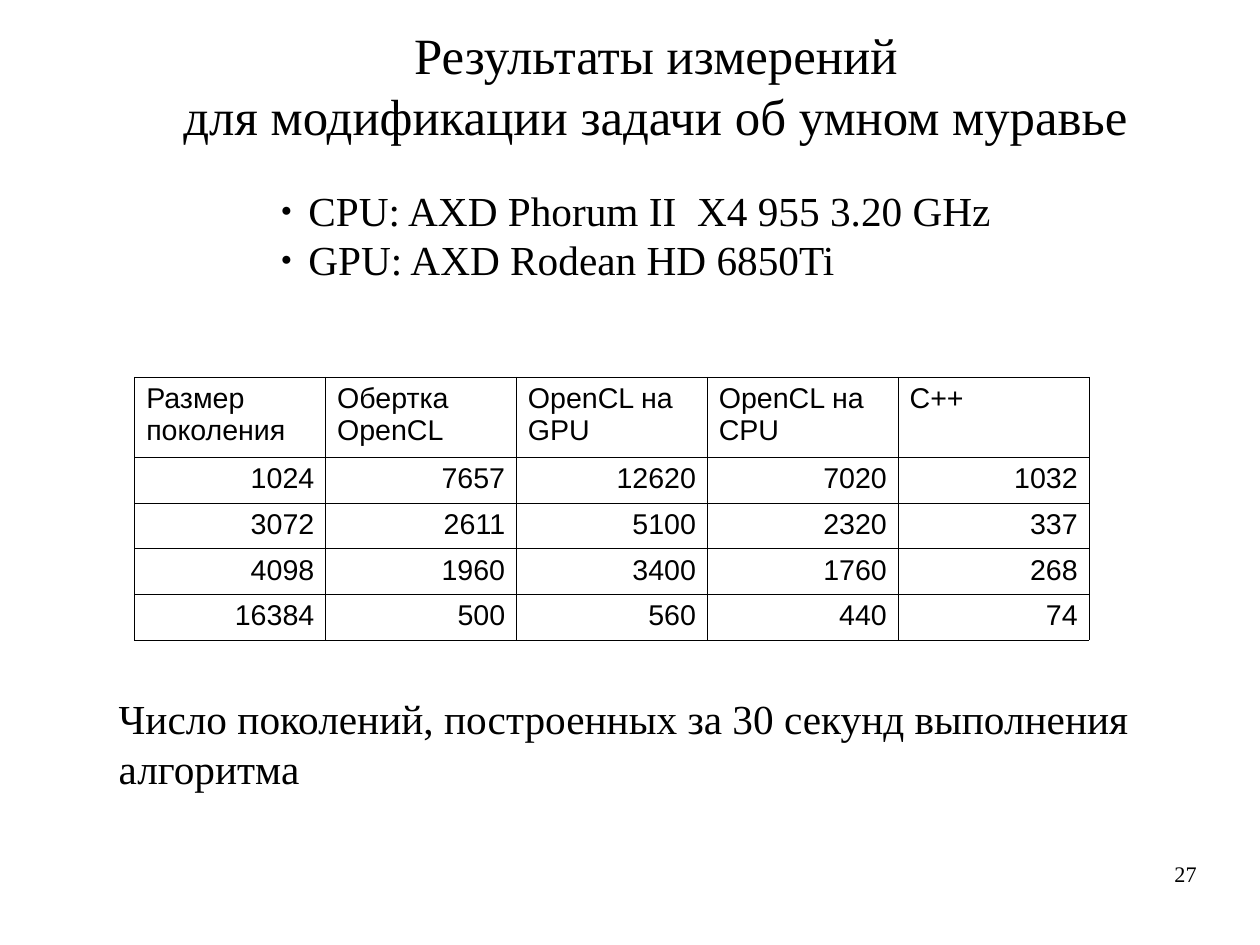
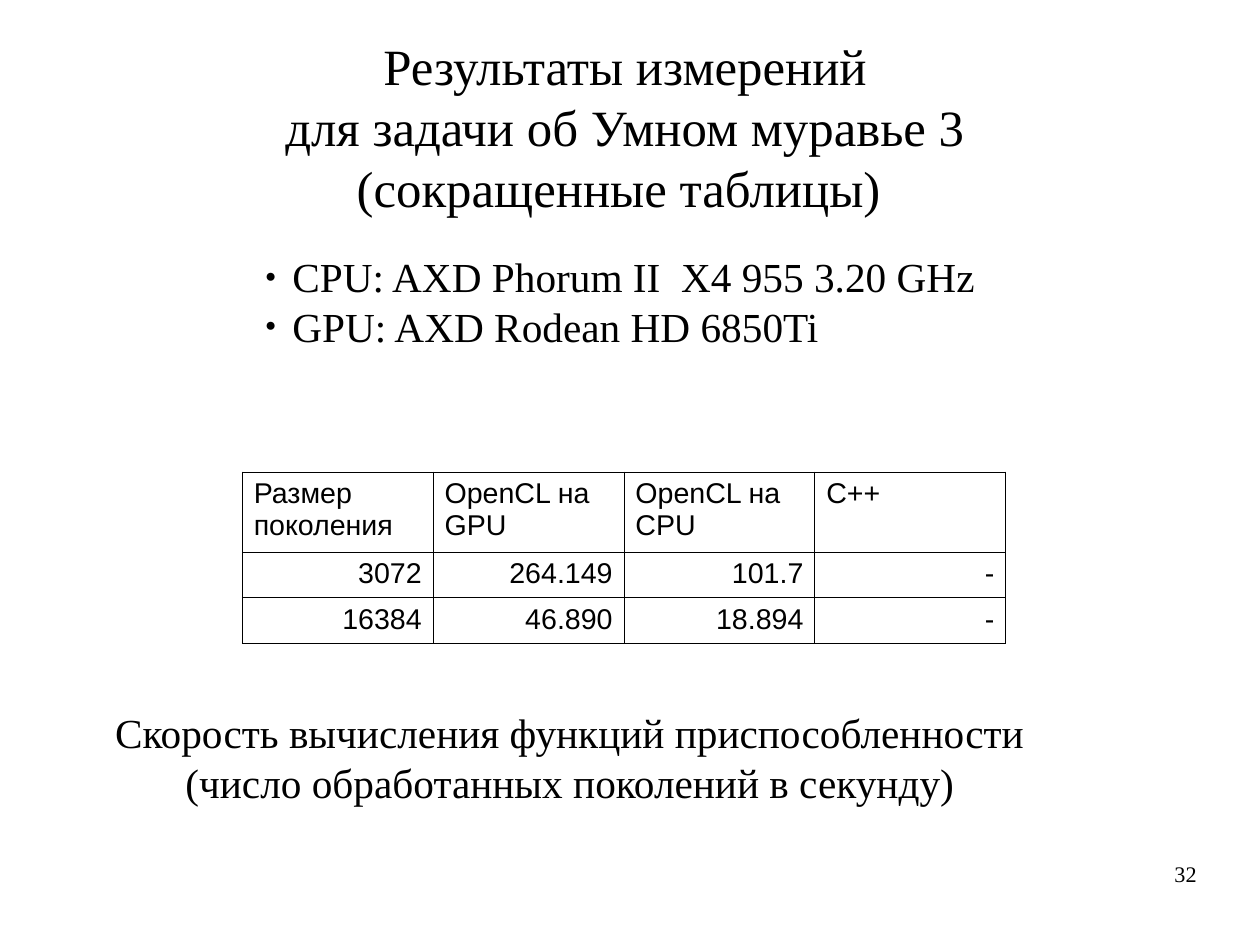
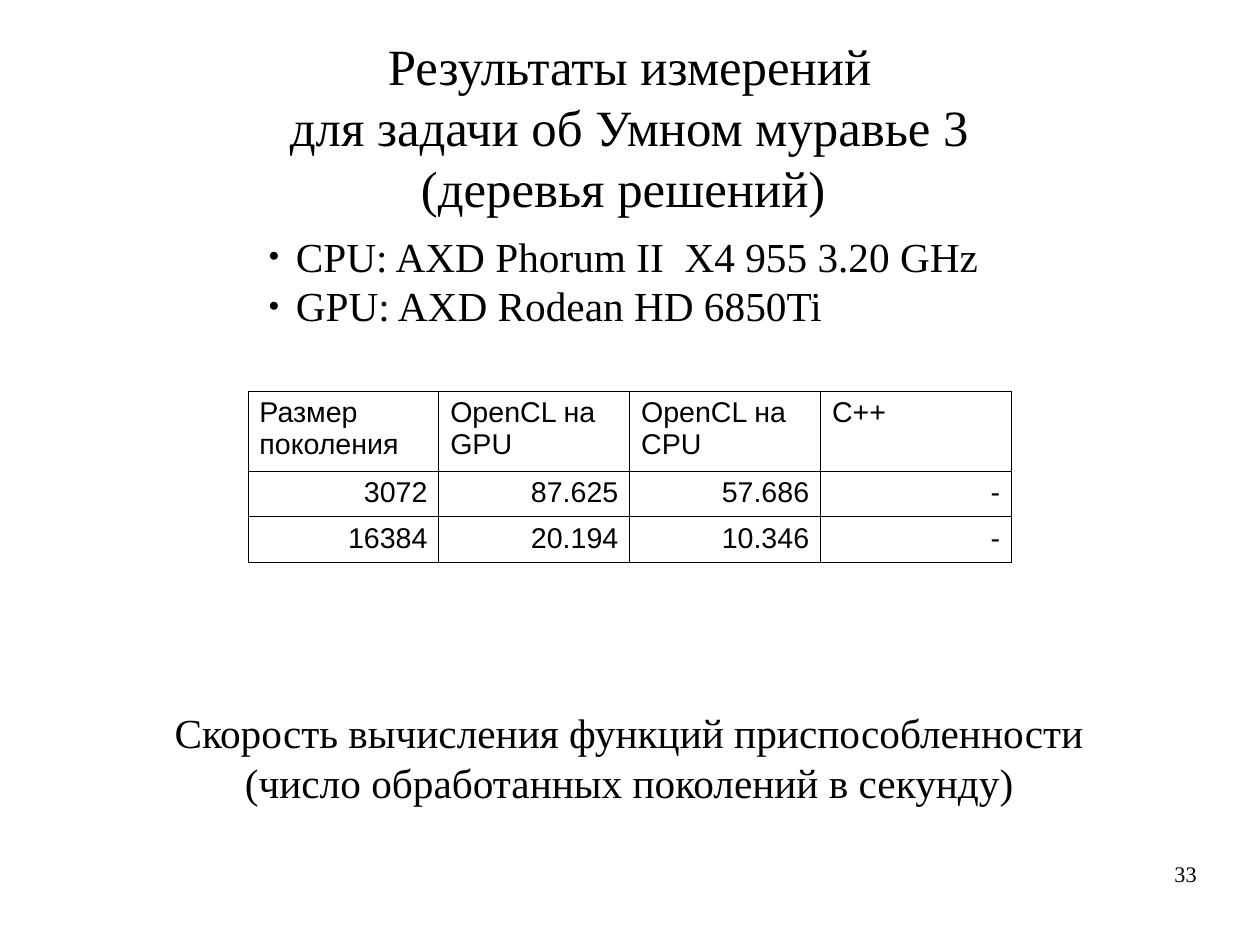
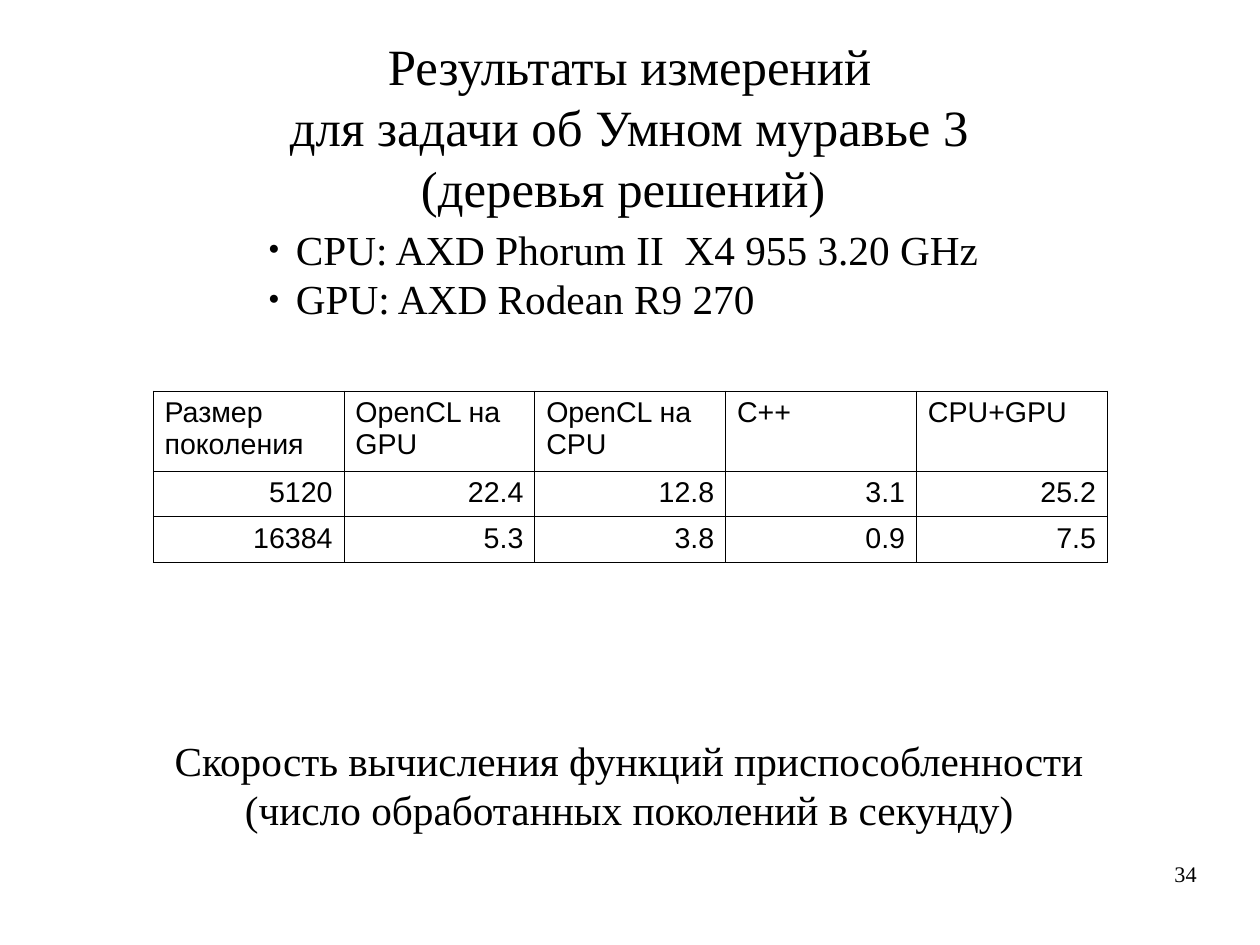
from dataclasses import dataclass

from lxml.etree import SubElement
from pptx import Presentation
from pptx.dml.color import RGBColor
from pptx.enum.text import MSO_ANCHOR, MSO_AUTO_SIZE, PP_ALIGN
from pptx.oxml import parse_xml
from pptx.oxml.ns import nsdecls, qn
from pptx.util import Cm, Inches, Pt


@dataclass(frozen=True)
class Theme:
    ink: str = "000000"
    serif: str = "Times New Roman"
    sans: str = "Arial"
    title_size: int = 32
    body_size: int = 26
    table_size: int = 18
    number_size: int = 14
    border_width: float = 0.57


THEME = Theme()
COLUMN, HEADER_ROW, DATA_ROW = 1.67, 0.7, 0.4
MARGINS = (0.1, 0.05)
BULLET_INDENT = 0.24
NUMBER_BOX = (7.9, 7.53, 2.57, 0.57)

CPU = "CPU: AXD Phorum II  X4 955 3.20 GHz"
OLD_GPU = "GPU: AXD Rodean HD 6850Ti"
NEW_GPU = "GPU: AXD Rodean R9 270"
ANT_TITLE = "Результаты измерений\nдля задачи об Умном муравье 3\n"
SPEED = ("Скорость вычисления функций приспособленности\n"
         "(число обработанных поколений в секунду)")
SIZE, ON_GPU, ON_CPU = "Размер поколения", "OpenCL на GPU", "OpenCL на СPU"

# Boxes are left, top, width, height in inches; a table needs only left and top.
SLIDES = [
    dict(number="27",
         title="Результаты измерений\nдля модификации задачи об умном муравье",
         title_box=(1.5, 0.16, 8.48, 1.09),
         hardware=[CPU, OLD_GPU], hardware_box=(2.36, 1.57, 6.52, 1.32),
         table_at=(1.18, 3.3),
         rows=[(SIZE, "Обертка OpenCL", ON_GPU, ON_CPU, "C++"),
               ("1024", "7657", "12620", "7020", "1032"),
               ("3072", "2611", "5100", "2320", "337"),
               ("4098", "1960", "3400", "1760", "268"),
               ("16384", "500", "560", "440", "74")],
         caption="Число поколений, построенных за 30 секунд выполнения\nалгоритма",
         caption_box=(0.94, 6.02, 9.14, 0.91), caption_align=PP_ALIGN.LEFT),
    dict(number="32",
         title=ANT_TITLE + "(сокращенные таблицы) ",
         title_box=(2.39, 0.25, 6.16, 1.58),
         hardware=[CPU, OLD_GPU], hardware_box=(2.22, 2.15, 6.52, 1.32),
         table_at=(2.12, 4.13),
         rows=[(SIZE, ON_GPU, ON_CPU, "C++"),
               ("3072", "264.149", "101.7", "-"),
               ("16384", "46.890", "18.894", "-")],
         caption=SPEED, caption_box=(0.91, 6.14, 8.16, 1.18),
         caption_align=PP_ALIGN.CENTER),
    dict(number="33",
         title=ANT_TITLE + "(деревья решений) ",
         title_box=(2.43, 0.25, 6.16, 1.58),
         hardware=[CPU, OLD_GPU], hardware_box=(2.25, 1.97, 6.52, 1.32),
         table_at=(2.17, 3.42),
         rows=[(SIZE, ON_GPU, ON_CPU, "C++"),
               ("3072", "87.625", "57.686", "-"),
               ("16384", "20.194", "10.346", "-")],
         caption=SPEED, caption_box=(1.43, 6.14, 8.16, 1.18),
         caption_align=PP_ALIGN.CENTER),
    dict(number="34",
         title=ANT_TITLE + "(деревья решений) ",
         title_box=(2.43, 0.25, 6.16, 1.58),
         hardware=[CPU, NEW_GPU], hardware_box=(2.25, 1.91, 6.52, 1.32),
         table_at=(1.34, 3.42),
         rows=[(SIZE, ON_GPU, ON_CPU, "C++", "CPU+GPU"),
               ("5120", "22.4", "12.8", "3.1", "25.2"),
               ("16384", "5.3", "3.8", "0.9", "7.5")],
         caption=SPEED, caption_box=(1.43, 6.38, 8.16, 1.18),
         caption_align=PP_ALIGN.CENTER),
]


def write(frame, text, size, align=PP_ALIGN.LEFT, font=THEME.serif):
    frame.text = text
    for para in frame.paragraphs:
        para.alignment = align
        for span in para.runs:
            span.font.name = font
            span.font.size = Pt(size)
            span.font.color.rgb = RGBColor.from_string(THEME.ink)


def fill_box(shape, box, text, size, align=PP_ALIGN.LEFT, margins=MARGINS):
    """Place a text shape and write its text from the top, without wrapping."""
    shape.left, shape.top, shape.width, shape.height = map(Inches, box)
    frame = shape.text_frame
    frame.word_wrap = False
    frame.auto_size = MSO_AUTO_SIZE.NONE
    frame.vertical_anchor = MSO_ANCHOR.TOP
    frame.margin_left = frame.margin_right = Inches(margins[0])
    frame.margin_top = frame.margin_bottom = Inches(margins[1])
    write(frame, text, size, align)
    return frame


def add_text(page, box, *text_style, **options):
    shape = page.shapes.add_textbox(*map(Inches, box))
    return fill_box(shape, box, *text_style, **options)


def add_bullet(para):
    properties = para._p.get_or_add_pPr()
    properties.set("marL", str(Inches(BULLET_INDENT)))
    properties.set("indent", str(-Inches(BULLET_INDENT)))
    color = SubElement(properties, qn("a:buClr"))
    SubElement(color, qn("a:srgbClr"), val=THEME.ink)
    SubElement(properties, qn("a:buSzPct"), val="45000")
    SubElement(properties, qn("a:buFont"), typeface=THEME.serif)
    SubElement(properties, qn("a:buChar"), char="●")


def add_borders(cell):
    properties = cell._tc.get_or_add_tcPr()
    for position, side in enumerate(("lnL", "lnR", "lnT", "lnB")):
        properties.insert(position, parse_xml(
            f'<a:{side} {nsdecls("a")} w="{Pt(THEME.border_width)}"><a:solidFill>'
            f'<a:srgbClr val="{THEME.ink}"/></a:solidFill></a:{side}>'))


def add_results(page, at, rows):
    heights = [HEADER_ROW] + [DATA_ROW] * (len(rows) - 1)
    size = (COLUMN * len(rows[0]), sum(heights))
    table = page.shapes.add_table(
        len(rows), len(rows[0]), *map(Inches, at + size)).table
    table.first_row = table.horz_banding = False
    for column in table.columns:
        column.width = Inches(COLUMN)
    for index, (values, height) in enumerate(zip(rows, heights)):
        table.rows[index].height = Inches(height)
        align = PP_ALIGN.RIGHT if index else PP_ALIGN.LEFT
        for cell, value in zip(table.rows[index].cells, values):
            write(cell.text_frame, value, THEME.table_size, align, THEME.sans)
            cell.fill.background()
            add_borders(cell)


def add_page(deck, content):
    page = deck.slides.add_slide(deck.slide_layouts.get_by_name("Title Only"))
    fill_box(page.shapes.title, content["title_box"], content["title"],
             THEME.title_size, PP_ALIGN.CENTER)
    hardware = add_text(page, content["hardware_box"],
                        "\n".join(content["hardware"]), THEME.body_size)
    for para in hardware.paragraphs:
        add_bullet(para)
    add_results(page, content["table_at"], content["rows"])
    add_text(page, content["caption_box"], content["caption"],
             THEME.body_size, content["caption_align"])
    number = add_text(page, NUMBER_BOX, content["number"], THEME.number_size,
                      PP_ALIGN.RIGHT, margins=(0, 0))
    number.word_wrap = True


def main():
    deck = Presentation()
    deck.slide_width = Cm(28)
    deck.slide_height = Cm(21)
    for content in SLIDES:
        add_page(deck, content)
    deck.save("out.pptx")


if __name__ == "__main__":
    main()
